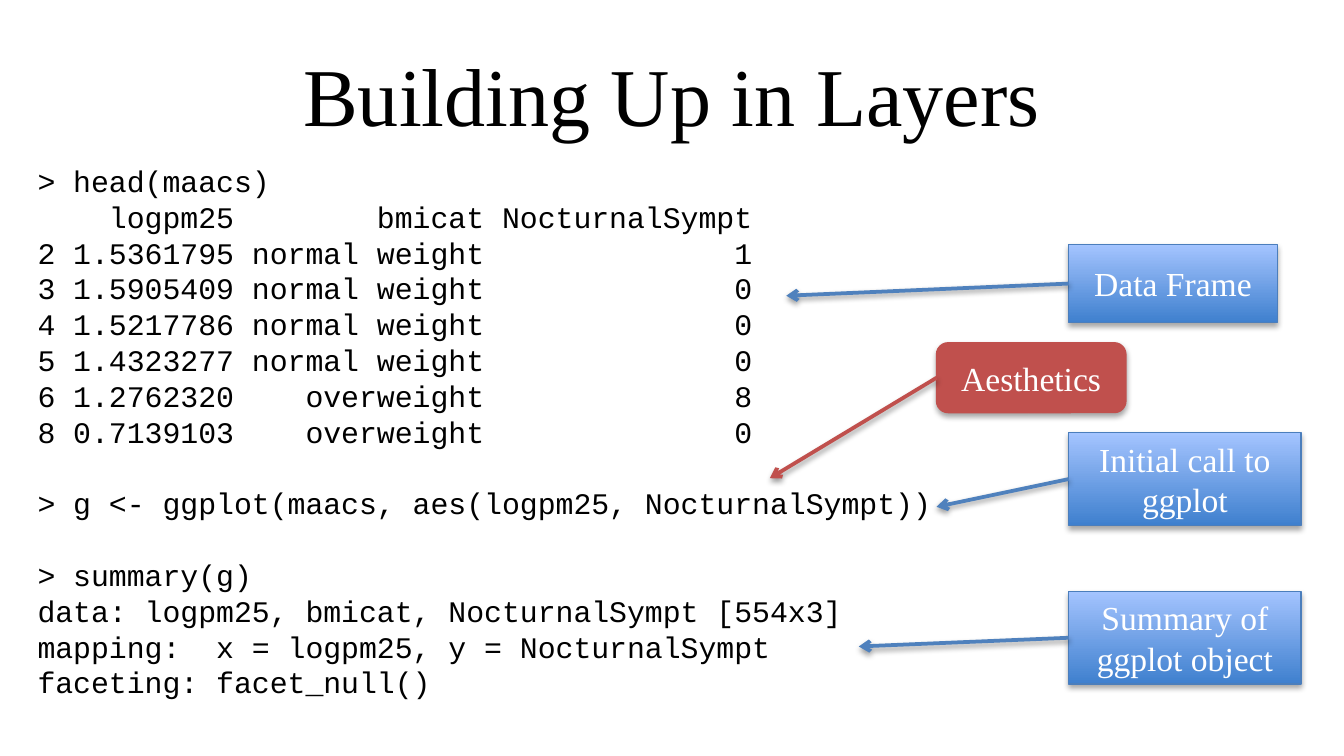
from dataclasses import dataclass

from lxml import etree
from pptx import Presentation
from pptx.dml.color import RGBColor
from pptx.enum.shapes import MSO_CONNECTOR, MSO_SHAPE
from pptx.enum.text import MSO_ANCHOR, MSO_AUTO_SIZE, PP_ALIGN
from pptx.oxml.ns import qn
from pptx.util import Cm, Pt

RECTANGLE = MSO_SHAPE.RECTANGLE
ROUNDED = MSO_SHAPE.ROUNDED_RECTANGLE
STRAIGHT = MSO_CONNECTOR.STRAIGHT
MIDDLE = MSO_ANCHOR.MIDDLE
CENTER = PP_ALIGN.CENTER
LEFT = PP_ALIGN.LEFT
GROW = MSO_AUTO_SIZE.SHAPE_TO_FIT_TEXT
TITLE_ONLY = 5
LEFT_SIDE = 1


@dataclass(frozen=True)
class Theme:
    text_font: str = "Times New Roman"
    code_font: str = "Courier New"
    title_size: int = 44
    label_size: int = 18
    code_size: int = 16
    code_gap: float = 19.2
    black: str = "000000"
    white: str = "FFFFFF"
    blue: str = "4F81BD"
    blue_border: str = "4B7EBC"
    blue_gradient: tuple = ("3F80CE", "A4C4FF")
    red: str = "C0504D"


THEME = Theme()

CONSOLE = """\
> head(maacs)
    logpm25        bmicat NocturnalSympt
2 1.5361795 normal weight              1
3 1.5905409 normal weight              0
4 1.5217786 normal weight              0
5 1.4323277 normal weight              0
6 1.2762320    overweight              8
8 0.7139103    overweight              0
> g <- ggplot(maacs, aes(logpm25, NocturnalSympt))
> summary(g)
data: logpm25, bmicat, NocturnalSympt [554x3]
mapping:  x = logpm25, y = NocturnalSympt
faceting: facet_null()"""

# label, (left, top, width, height) in cm, arrow tip in cm
BLUE_CALLOUTS = [
    ("Data Frame", (20.2, 4.62, 3.94, 1.48), (14.86, 5.59)),
    ("Initial call to ggplot", (20.2, 8.18, 4.39, 1.75), (17.7, 9.58)),
    ("Summary of ggplot object", (20.2, 11.18, 4.39, 1.75), (16.23, 12.22)),
]
RED_CALLOUT = ("Aesthetics", (17.7, 6.48, 3.58, 1.32), (14.55, 9.04))


def color(value):
    return RGBColor.from_string(value)


def format_text(text_frame, font_name, size, font_color, alignment):
    for paragraph in text_frame.paragraphs:
        paragraph.alignment = alignment
        for run in paragraph.runs:
            run.font.name = font_name
            run.font.size = Pt(size)
            run.font.color.rgb = color(font_color)


def add_shadow(shape, distance, opacity):
    """Cast a soft shadow downwards; distance in points, opacity in percent."""
    effects = etree.SubElement(shape.element.spPr, qn("a:effectLst"))
    shadow = etree.SubElement(
        effects, qn("a:outerShdw"), blurRad=str(Pt(3.1)),
        dist=str(Pt(distance)), dir="5400000", rotWithShape="0")
    shade = etree.SubElement(shadow, qn("a:srgbClr"), val=THEME.black)
    etree.SubElement(shade, qn("a:alpha"), val=str(opacity * 1000))


def set_title(slide, text):
    title = slide.shapes.title
    title.left, title.top = Cm(1.27), Cm(0.58)
    title.width, title.height = Cm(22.86), Cm(2.38)
    title.text_frame.text = text
    title.text_frame.vertical_anchor = MIDDLE
    format_text(title.text_frame, THEME.text_font, THEME.title_size,
                THEME.black, CENTER)


def add_console(slide, text):
    """Add a console listing with a gap before each later command."""
    box = slide.shapes.add_textbox(Cm(0.46), Cm(2.95), Cm(17.65), Cm(11.2))
    text_frame = box.text_frame
    text_frame.text = text
    text_frame.word_wrap = False
    text_frame.auto_size = GROW
    format_text(text_frame, THEME.code_font, THEME.code_size,
                THEME.black, LEFT)
    for paragraph in text_frame.paragraphs[1:]:
        if paragraph.text.startswith(">"):
            paragraph.space_before = Pt(THEME.code_gap)


def add_label(slide, kind, text, bounds, border):
    label = slide.shapes.add_shape(kind, *map(Cm, bounds))
    label.line.color.rgb = color(border)
    label.line.width = Pt(0.75)
    label.text_frame.text = text
    label.text_frame.word_wrap = True
    label.text_frame.vertical_anchor = MIDDLE
    format_text(label.text_frame, THEME.text_font, THEME.label_size,
                THEME.white, CENTER)
    return label


def fill_gradient(shape, stops):
    """Fill from the bottom up."""
    shape.fill.gradient()
    shape.fill.gradient_angle = 90
    for stop, value in zip(shape.fill.gradient_stops, stops):
        stop.color.rgb = color(value)


def fill_solid(shape, value):
    shape.fill.solid()
    shape.fill.fore_color.rgb = color(value)


def add_arrow(slide, label, tip, line_color):
    """Point from the left side of a label to the tip."""
    x, y = map(Cm, tip)
    arrow = slide.shapes.add_connector(STRAIGHT, label.left, label.top, x, y)
    arrow.begin_connect(label, LEFT_SIDE)
    arrow.line.color.rgb = color(line_color)
    arrow.line.width = Pt(2)
    line = arrow.element.spPr.find(qn("a:ln"))
    etree.SubElement(line, qn("a:tailEnd"), type="arrow")
    add_shadow(arrow, 1.6, 38)


def add_blue_callout(slide, text, bounds, tip):
    label = add_label(slide, RECTANGLE, text, bounds, THEME.blue_border)
    fill_gradient(label, THEME.blue_gradient)
    add_shadow(label, 1.8, 35)
    add_arrow(slide, label, tip, THEME.blue)


def add_red_callout(slide, text, bounds, tip):
    label = add_label(slide, ROUNDED, text, bounds, THEME.red)
    fill_solid(label, THEME.red)
    add_shadow(label, 1.8, 35)
    add_arrow(slide, label, tip, THEME.red)


def main():
    presentation = Presentation()
    presentation.slide_width = Cm(25.4)
    presentation.slide_height = Cm(14.29)
    slide = presentation.slides.add_slide(
        presentation.slide_layouts[TITLE_ONLY])
    set_title(slide, "Building Up in Layers")
    add_console(slide, CONSOLE)
    for callout in BLUE_CALLOUTS:
        add_blue_callout(slide, *callout)
    add_red_callout(slide, *RED_CALLOUT)
    presentation.save("out.pptx")


if __name__ == "__main__":
    main()
